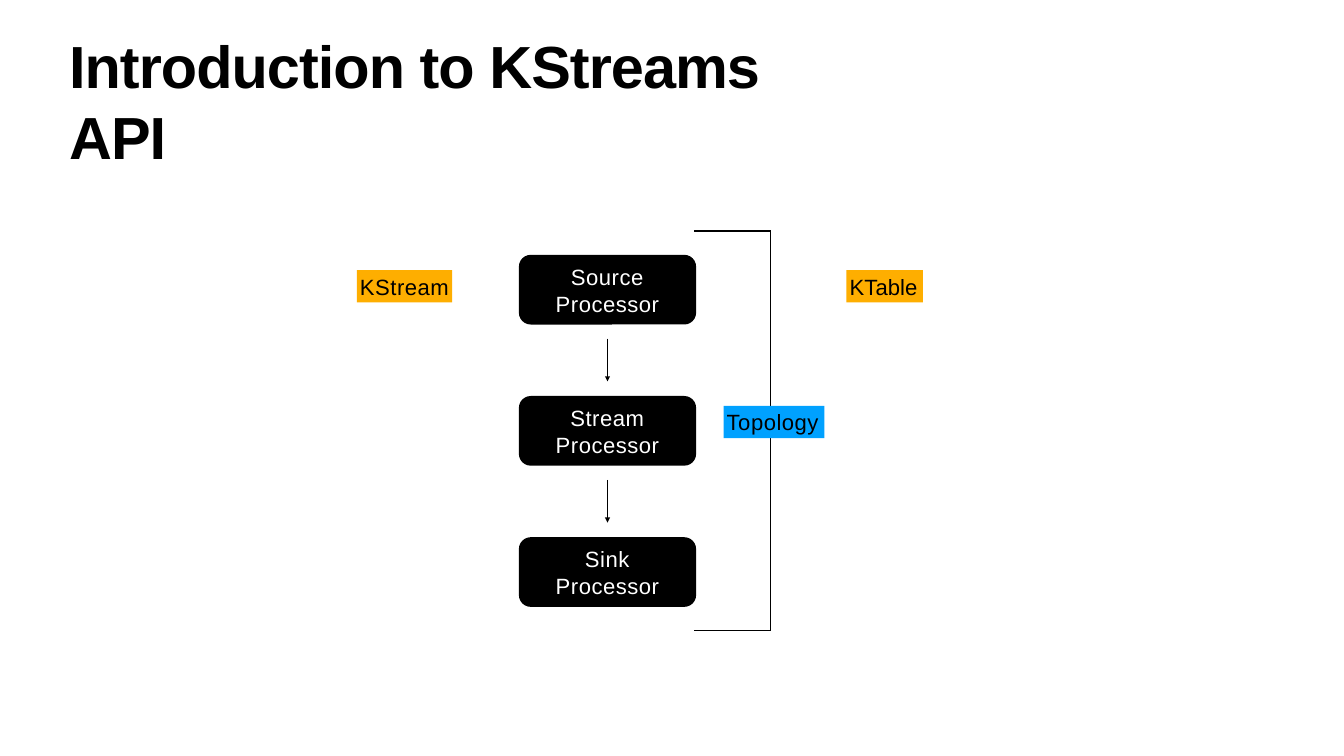
"""Build the slide that introduces the KStreams API and its processor topology."""
from dataclasses import dataclass

from lxml.etree import SubElement
from pptx import Presentation
from pptx.dml.color import RGBColor
from pptx.enum.shapes import MSO_CONNECTOR, MSO_SHAPE
from pptx.enum.text import MSO_ANCHOR, MSO_AUTO_SIZE, PP_ALIGN
from pptx.oxml.ns import qn
from pptx.util import Inches, Pt


@dataclass(frozen=True)
class Theme:
    font: str = "Arial"
    black: RGBColor = RGBColor(0x00, 0x00, 0x00)
    white: RGBColor = RGBColor(0xFF, 0xFF, 0xFF)
    blue: RGBColor = RGBColor(0x00, 0xA1, 0xFF)
    orange: RGBColor = RGBColor(0xFE, 0xAE, 0x00)
    title_size: Pt = Pt(70)
    label_size: Pt = Pt(26)
    line_width: Pt = Pt(1.65)


theme = Theme()


def write(shape, text, size, color, align, anchor, side_inset, tracking, bold=False):
    """Fill a shape with one formatted paragraph; tracking is in points."""
    frame = shape.text_frame
    frame.text = text
    frame.word_wrap = True
    frame.auto_size = MSO_AUTO_SIZE.NONE
    frame.vertical_anchor = anchor
    frame.margin_left = frame.margin_right = Inches(side_inset)
    frame.margin_top = frame.margin_bottom = 0
    paragraph = frame.paragraphs[0]
    paragraph.alignment = align
    run = paragraph.runs[0]
    run.font.name = theme.font
    run.font.size = size
    run.font.bold = bold
    run.font.color.rgb = color
    run._r.get_or_add_rPr().set("spc", str(round(tracking * 100)))
    return paragraph


def draw_line(x1, y1, x2, y2, arrow=False):
    """Draw a straight black line, with an arrowhead at its end if asked."""
    line = slide.shapes.add_connector(
        MSO_CONNECTOR.STRAIGHT, Inches(x1), Inches(y1), Inches(x2), Inches(y2))
    line.line.color.rgb = theme.black
    line.line.width = theme.line_width
    if arrow:
        SubElement(line.line._get_or_add_ln(), qn("a:tailEnd"),
                   type="triangle", w="med", len="med")
    SubElement(line._element.spPr, qn("a:effectLst"))


prs = Presentation()
prs.slide_width = Inches(21.99)
prs.slide_height = Inches(12.37)
slide = prs.slides.add_slide(prs.slide_layouts[5])

title = slide.shapes.title
title.left, title.top = Inches(1.12), Inches(0.47)
title.width, title.height = Inches(12.9), Inches(1.2)
write(title, "Introduction to KStreams API", theme.title_size, theme.black,
      PP_ALIGN.LEFT, MSO_ANCHOR.TOP, 0.01, -1.1, bold=True)

processor_left, processor_top = 8.49, 4.17
processor_width, processor_height = 2.9, 1.14
processor_pitch = 2.31
arrow_x = processor_left + processor_width / 2
arrow_gap, arrow_length = 0.23, 0.7
processors = ["Source Processor", "Stream Processor", "Sink Processor"]

for step, name in enumerate(processors):
    top = processor_top + step * processor_pitch
    processor = slide.shapes.add_shape(
        MSO_SHAPE.ROUNDED_RECTANGLE, Inches(processor_left), Inches(top),
        Inches(processor_width), Inches(processor_height))
    processor.adjustments[0] = 0.17
    processor.shadow.inherit = False
    processor.fill.solid()
    processor.fill.fore_color.rgb = theme.black
    processor.line.fill.background()
    label = write(processor, name, theme.label_size, theme.white,
                  PP_ALIGN.CENTER, MSO_ANCHOR.MIDDLE, 0.35, 0.6)
    label.line_spacing = 1.03
    if step < len(processors) - 1:
        arrow_top = top + processor_height + arrow_gap
        draw_line(arrow_x, arrow_top, arrow_x, arrow_top + arrow_length, arrow=True)

bracket_left, bracket_right = 11.36, 12.61
tag_height = 0.53
topology_top = 6.64
for outer_y, inner_y in [(3.78, topology_top), (10.32, topology_top + tag_height)]:
    draw_line(bracket_left, outer_y, bracket_right, outer_y)
    draw_line(bracket_right, outer_y, bracket_right, inner_y)

tags = [
    ("Topology", 11.84, topology_top, 1.65, theme.blue, 0.6),
    ("KStream", 5.84, 4.42, 1.56, theme.orange, 0.6),
    ("KTable", 13.85, 4.42, 1.25, theme.orange, 0.1),
]
for name, left, top, width, color, tracking in tags:
    tag = slide.shapes.add_shape(
        MSO_SHAPE.RECTANGLE, Inches(left), Inches(top), Inches(width), Inches(tag_height))
    tag.shadow.inherit = False
    tag.fill.solid()
    tag.fill.fore_color.rgb = color
    tag.line.fill.background()
    write(tag, name, theme.label_size, theme.black,
          PP_ALIGN.LEFT, MSO_ANCHOR.MIDDLE, 0.05, tracking)

prs.save("out.pptx")
